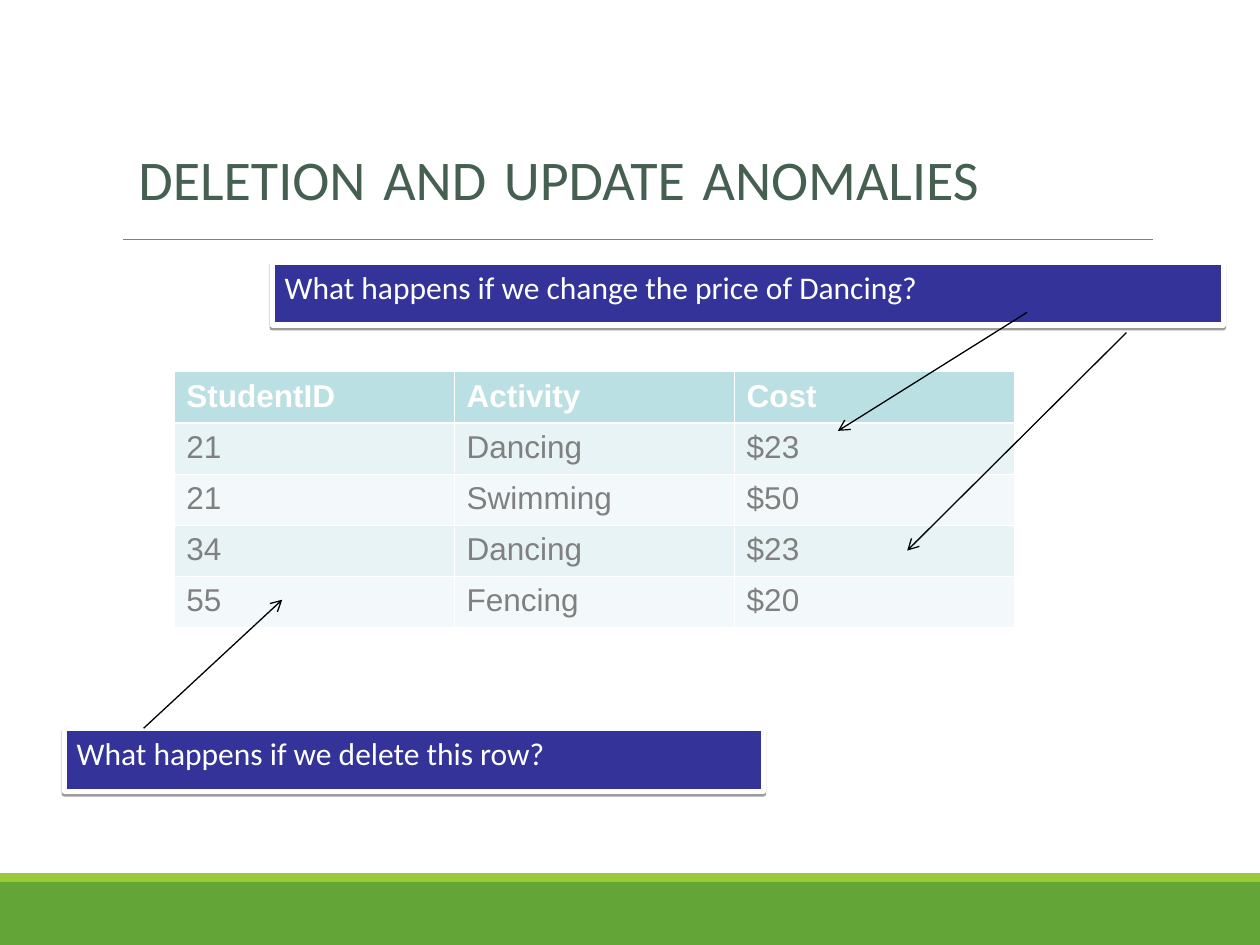
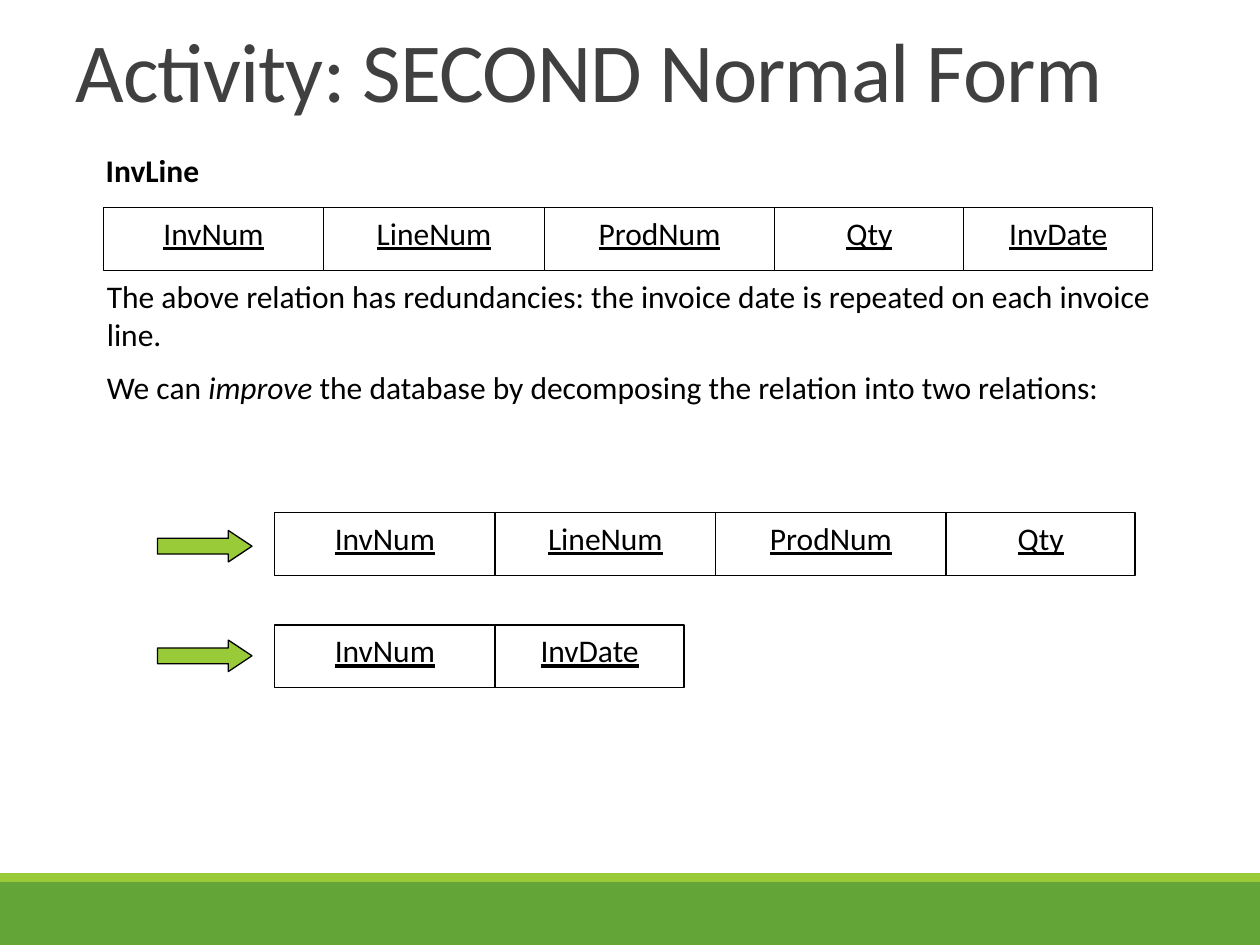
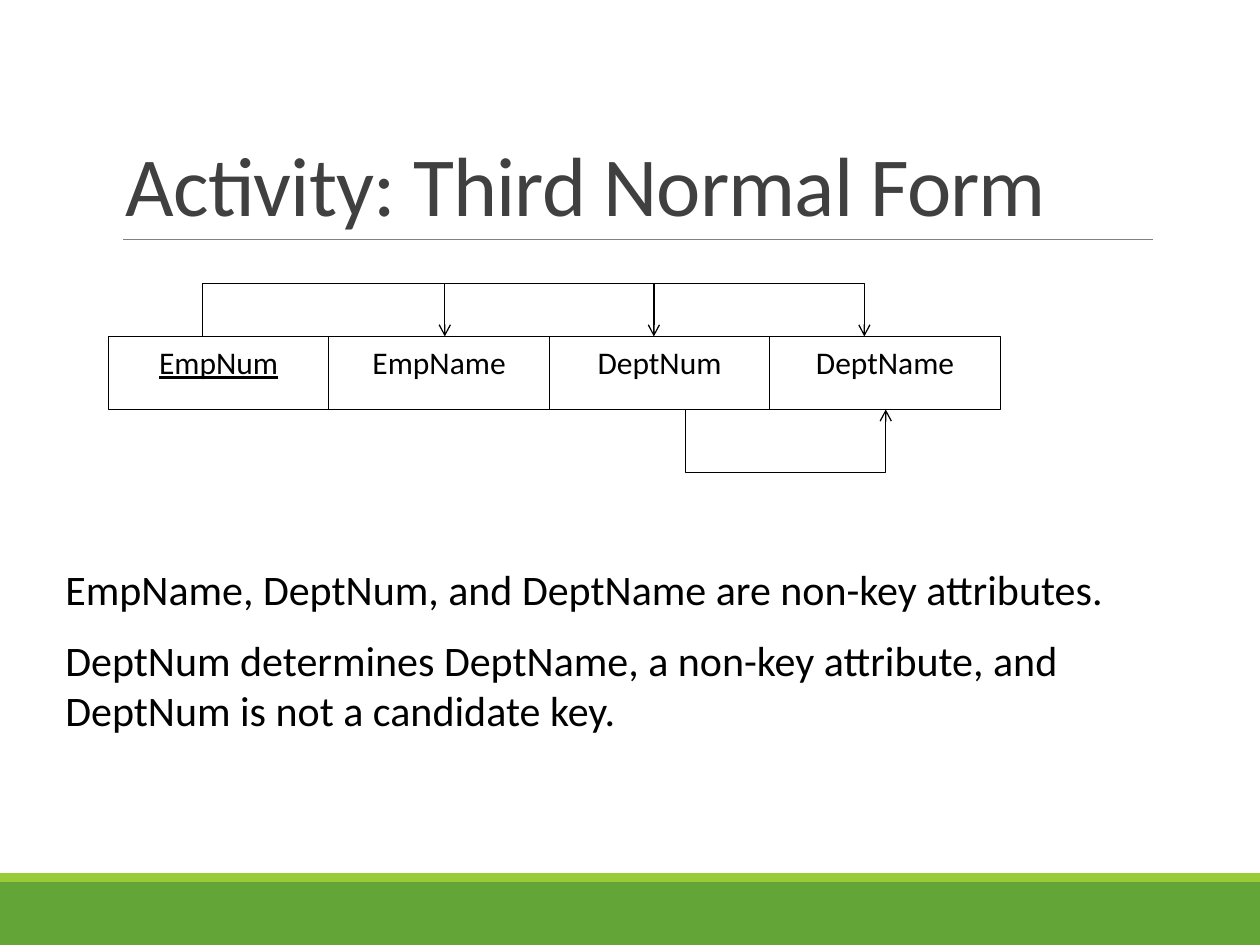
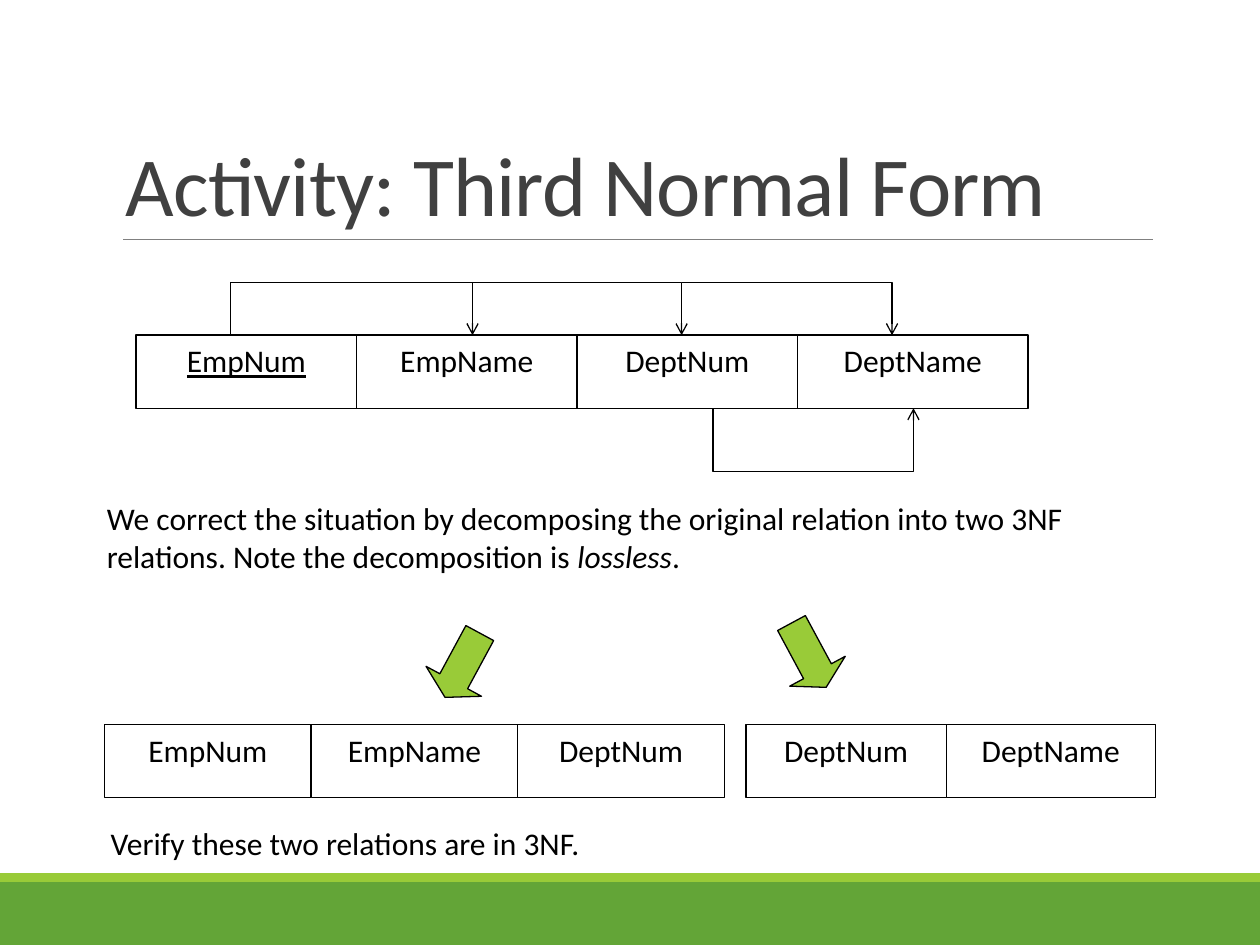
"""Build four slides on database anomalies and the second and third normal forms."""
from dataclasses import dataclass
from itertools import pairwise

from lxml.etree import SubElement
from pptx import Presentation
from pptx.dml.color import RGBColor
from pptx.enum.shapes import MSO_CONNECTOR as Connector, MSO_SHAPE as Preset
from pptx.enum.text import MSO_ANCHOR as Anchor, MSO_AUTO_SIZE as AutoSize, PP_ALIGN as Align
from pptx.oxml.ns import qn
from pptx.util import Inches, Pt


@dataclass(frozen=True)
class Theme:
    font: str = "Calibri"
    table_font: str = "Arial"
    band: str = "63A537"
    accent: str = "99CB38"
    rule: str = "808080"
    title: str = "404040"
    heading: str = "455F51"
    heading_gap: str = "72989C"
    callout: str = "333399"
    table_head: str = "BBE0E3"
    table_rows: tuple = ("F3F9FA", "E7F3F4")
    table_text: str = "808080"
    ink: str = "000000"
    paper: str = "FFFFFF"
    title_size: int = 48
    heading_size: int = 32
    heading_gap_size: int = 44
    large_size: int = 24
    body_size: int = 18
    hairline: float = 0.75


theme = Theme()


def add_box(slide, preset, place, fill, line=None, weight=theme.hairline):
    """Add a filled shape without a shadow."""
    shape = slide.shapes.add_shape(preset, *map(Inches, place))
    shape.shadow.inherit = False
    shape.fill.solid()
    shape.fill.fore_color.rgb = RGBColor.from_string(fill)
    if line:
        shape.line.color.rgb = RGBColor.from_string(line)
        shape.line.width = Pt(weight)
    else:
        shape.line.fill.background()
    return shape


def write(text_frame, text, size=theme.body_size, color=theme.ink, font=theme.font,
          align=Align.LEFT, anchor=Anchor.TOP):
    """Write lines of text, with the parts between asterisks in italics."""
    text_frame.text = text
    text_frame.word_wrap = True
    text_frame.vertical_anchor = anchor
    for number, paragraph in enumerate(text_frame.paragraphs):
        paragraph.alignment = align
        if number:
            paragraph.space_before = Pt(size / 2)
        paragraph.text, *parts = paragraph.text.split("*")
        for part in parts:
            paragraph.add_run().text = part
        for index, run in enumerate(paragraph.runs):
            run.font.name = font
            run.font.size = Pt(size)
            run.font.color.rgb = RGBColor.from_string(color)
            if index % 2:
                run.font.italic = True
    return text_frame


presentation = Presentation()
presentation.slide_width = Inches(10)
presentation.slide_height = Inches(7.5)
rules = []
arrows = []

for _ in range(4):
    slide = presentation.slides.add_slide(presentation.slide_layouts[6])
    add_box(slide, Preset.RECTANGLE, (0, 7, 10, 0.5), theme.band)
    add_box(slide, Preset.RECTANGLE, (0, 6.93, 10, 0.07), theme.accent)
    rules.append(slide.shapes.add_connector(
        Connector.STRAIGHT, *map(Inches, (0.98, 1.9, 9.15, 1.9))))
anomaly_slide, second_form_slide, third_form_slide, decomposition_slide = presentation.slides

heading = anomaly_slide.shapes.add_textbox(*map(Inches, (1, 0.83, 8.9, 1.03)))
write(heading.text_frame, "DELETION* *AND* *UPDATE* *ANOMALIES", theme.heading_size,
      theme.heading, anchor=Anchor.MIDDLE)
for gap in heading.text_frame.paragraphs[0].runs[1::2]:
    gap.font.italic = None
    gap.font.size = Pt(theme.heading_gap_size)
    gap.font.color.rgb = RGBColor.from_string(theme.heading_gap)

third_form_title = ("Activity: Third Normal Form", (0.9, 0.31, 8.25, 1.59))
for slide, (title, place) in (
    (second_form_slide, ("Activity: SECOND Normal Form", (0.5, 0, 9, 1))),
    (third_form_slide, third_form_title),
    (decomposition_slide, third_form_title),
):
    title_box = slide.shapes.add_textbox(*map(Inches, place))
    paragraph = write(title_box.text_frame, title, theme.title_size, theme.title,
                      anchor=Anchor.BOTTOM).paragraphs[0]
    paragraph.line_spacing = 0.85
    paragraph.runs[0].font._element.set("spc", "-50")

enrolments = (
    ("StudentID", "Activity", "Cost"),
    ("21", "Dancing", "$23"),
    ("21", "Swimming", "$50"),
    ("34", "Dancing", "$23"),
    ("55", "Fencing", "$20"),
)
table = anomaly_slide.shapes.add_table(
    len(enrolments), 3, *map(Inches, (1.38, 2.95, 6.67, 2.03))).table
for row, record in enumerate(enrolments):
    for column, value in enumerate(record):
        cell = table.cell(row, column)
        cell.margin_left = cell.margin_right = Inches(0.1)
        cell.margin_top, cell.margin_bottom = Inches(0.07), Inches(0.05)
        write(cell.text_frame, value, font=theme.table_font,
              color=theme.table_text if row else theme.paper)
        paragraph = cell.text_frame.paragraphs[0]
        paragraph.line_spacing = 0.94
        paragraph.runs[0].font.bold = row == 0
        for side in ("lnL", "lnR", "lnT", "lnB"):
            heavy = (row, side) in ((0, "lnB"), (1, "lnT"))
            border = SubElement(cell._tc.get_or_add_tcPr(), qn(f"a:{side}"),
                                w=str(Pt(1.47 if heavy else 0.45)))
            SubElement(SubElement(border, qn("a:solidFill")), qn("a:srgbClr"), val=theme.paper)
        cell.fill.solid()
        cell.fill.fore_color.rgb = RGBColor.from_string(
            theme.table_rows[row % 2] if row else theme.table_head)

for question, place in (
    ("What happens if we delete this row?", (0.51, 5.78, 5.55, 0.5)),
    ("What happens if we change the price of Dancing?", (2.16, 2.08, 7.55, 0.5)),
):
    callout = add_box(anomaly_slide, Preset.RECTANGLE, place, theme.callout, theme.paper, 3)
    write(callout.text_frame, question, color=theme.paper)
    effects = callout.element.spPr.find(qn("a:effectLst"))
    shadow = SubElement(effects, qn("a:outerShdw"), blurRad="0", dist=str(Pt(1.6)),
                        dir="5400000", rotWithShape="0")
    shadow_color = SubElement(shadow, qn("a:srgbClr"), val=theme.ink)
    SubElement(shadow_color, qn("a:alpha"), val="38000")

for ends in ((1.14, 5.78, 2.24, 4.76), (8.15, 2.48, 6.65, 3.42), (8.94, 2.64, 7.2, 4.37)):
    arrows.append(anomaly_slide.shapes.add_connector(Connector.STRAIGHT, *map(Inches, ends)))

invoice_line = (("InvNum", 1.75), ("LineNum", 1.75), ("ProdNum", 1.83), ("Qty", 1.5))
invoice_date = ("InvDate", 1.5)
employee = (("EmpNum", 1.75), ("EmpName", 1.75), ("DeptNum", 1.75), ("DeptName", 1.83))
employee_part = (("EmpNum", 1.64), ("EmpName", 1.64), ("DeptNum", 1.64))
department_part = (("DeptNum", 1.59), ("DeptName", 1.66))
diagrams = ((third_form_slide, 0.86, 2.67), (decomposition_slide, 1.08, 2.66))

for slide, left, top, height, fields, underlined in (
    (second_form_slide, 0.82, 1.65, 0.5, (*invoice_line, invoice_date), 5),
    (second_form_slide, 2.18, 4.07, 0.5, invoice_line, 4),
    (second_form_slide, 2.18, 4.96, 0.5, (invoice_line[0], invoice_date), 2),
    *((*diagram, 0.58, employee, 1) for diagram in diagrams),
    (decomposition_slide, 0.83, 5.75, 0.58, employee_part, 0),
    (decomposition_slide, 5.92, 5.75, 0.58, department_part, 0),
):
    for index, (field, width) in enumerate(fields):
        box = add_box(slide, Preset.RECTANGLE, (left, top, width, height),
                      theme.paper, theme.ink)
        write(box.text_frame, field, align=Align.CENTER)
        if index < underlined:
            box.text_frame.paragraphs[0].runs[0].font.underline = True
        left += width

for slide, left, top in diagrams:
    stem, *drops = (left + offset for offset in (0.75, 2.67, 4.33, 6))
    roof, floor = top - 0.42, top + 0.58
    routes = [[(start, roof), (end, roof), (end, top)] for start, end in pairwise((stem, *drops))]
    routes[0].insert(0, (stem, top))
    source, target = left + 4.58, left + 6.17
    routes.append([(source, floor), (source, floor + 0.5), (target, floor + 0.5), (target, floor)])
    for route in routes:
        first, *others = [(Inches(x), Inches(y)) for x, y in route]
        builder = slide.shapes.build_freeform(*first)
        builder.add_line_segments(others, close=False)
        dependency = builder.convert_to_shape()
        dependency.fill.background()
        arrows.append(dependency)

for slide, text, place, size in (
    (second_form_slide,
     "The above relation has redundancies: the invoice date is repeated on each invoice line.\n"
     "We can *improve* the database by decomposing the relation into two relations:",
     (0.75, 2.15, 8.5, 1.16), theme.body_size),
    (third_form_slide,
     "EmpName, DeptNum, and DeptName are non-key attributes.\n"
     "DeptNum determines DeptName, a non-key attribute, and DeptNum is not a candidate key.",
     (0.42, 4.42, 9.25, 1.51), theme.large_size),
    (decomposition_slide,
     "We correct the situation by decomposing the original relation into two 3NF relations. "
     "Note the decomposition is *lossless*.",
     (0.75, 3.91, 8.67, 0.71), theme.body_size),
    (decomposition_slide, "Verify these two relations are in 3NF.",
     (0.78, 6.49, 6.5, 0.4), theme.body_size),
):
    write(slide.shapes.add_textbox(*map(Inches, place)).text_frame, text, size)

relation_name = second_form_slide.shapes.add_textbox(*map(Inches, (0.74, 1.15, 0.95, 0.4)))
write(relation_name.text_frame, "InvLine").paragraphs[0].runs[0].font.bold = True
relation_name.text_frame.word_wrap = False
relation_name.text_frame.auto_size = AutoSize.SHAPE_TO_FIT_TEXT

for slide, preset, place, head_length, rotation in (
    (second_form_slide, Preset.RIGHT_ARROW, (1.25, 4.21, 0.75, 0.25), 0.75, 0),
    (second_form_slide, Preset.RIGHT_ARROW, (1.25, 5.08, 0.75, 0.25), 0.75, 0),
    (decomposition_slide, Preset.DOWN_ARROW, (3.42, 4.99, 0.5, 0.58), 0.29, 28.4),
    (decomposition_slide, Preset.DOWN_ARROW, (6.17, 4.91, 0.5, 0.58), 0.29, 331.7),
):
    block_arrow = add_box(slide, preset, place, theme.accent, theme.ink)
    block_arrow.adjustments[1] = head_length
    block_arrow.rotation = rotation

for lines, color, weight in ((rules, theme.rule, 0.5), (arrows, theme.ink, theme.hairline)):
    for line in lines:
        line.line.color.rgb = RGBColor.from_string(color)
        line.line.width = Pt(weight)
        properties = line.element.spPr
        if lines is arrows:
            SubElement(properties.find(qn("a:ln")), qn("a:tailEnd"), type="arrow")
        SubElement(properties, qn("a:effectLst"))

presentation.save("out.pptx")
